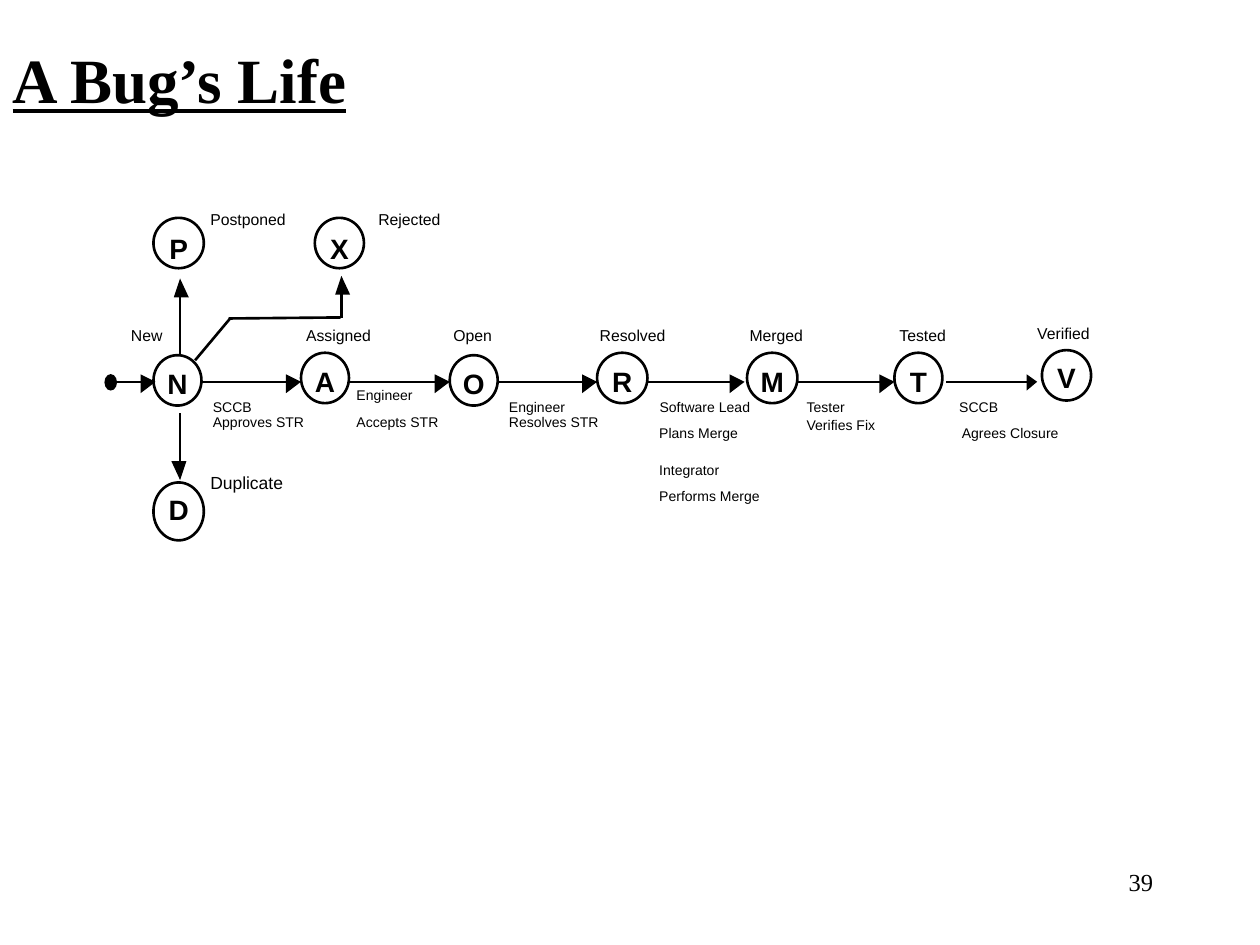
from collections import namedtuple

from lxml.etree import SubElement
from pptx import Presentation
from pptx.dml.color import RGBColor
from pptx.enum.shapes import MSO_CONNECTOR as CONNECTOR, MSO_SHAPE as SHAPE
from pptx.enum.text import MSO_ANCHOR as ANCHOR, MSO_AUTO_SIZE as AUTO, PP_ALIGN as ALIGN
from pptx.oxml.ns import qn
from pptx.util import Pt


class Theme:
    ink = RGBColor(0, 0, 0)
    paper = RGBColor(255, 255, 255)
    serif, sans = "Times New Roman", "Arial"
    title, number, letter, large_name, name, action = 36, 14, 16, 10, 9, 8
    line = 1.5


Box = namedtuple("Box", "x y w h")
# Length along the arrow, then reach to the right and left of its axis
Head = namedtuple("Head", "length right left")
SIDE, UPRIGHT, SMALL = Head(8.6, 6.5, 4.3), Head(10.8, 5, 3.6), Head(6, 5, 4.3)
AXIS, NAME_Y, BEND_Y, NEW_X = 98.2, 66.2, 62, 43.2
LABEL_SLACK = 3

# Letter, circle, downward shift of the letter, name, name box, name size
STATES = [
    ("P", Box(28, 4.5, 28.8, 28.8), 3.2, "Postponed", Box(60.5, 0, 43.2, 10.8), Theme.name),
    ("X", Box(120.2, 4.5, 28.1, 28.8), 3.2, "Rejected", Box(156.5, 0, 35.3, 10.8), Theme.name),
    ("N", Box(28, 83, 27.4, 28.8), 1.8, "New", Box(15.1, NAME_Y, 18, 10.8), Theme.name),
    ("A", Box(112.3, 81.6, 27.4, 28.8), 1.8, "Assigned", Box(115.2, NAME_Y, 36.7, 10.8), Theme.name),
    ("O", Box(197.3, 83, 27.4, 28.8), 1.8, "Open", Box(199.4, NAME_Y, 22.3, 10.8), Theme.name),
    ("R", Box(281.5, 81.6, 28.8, 28.8), 1.8, "Resolved", Box(283, NAME_Y, 37.4, 10.8), Theme.name),
    ("M", Box(367.2, 81.6, 28.8, 28.8), 1.8, "Merged", Box(368.6, NAME_Y, 30.2, 10.8), Theme.name),
    ("T", Box(451.4, 81.6, 27.4, 28.8), 1.8, "Tested", Box(454.3, NAME_Y, 27.4, 10.8), Theme.name),
    ("V", Box(535.7, 80.1, 28.1, 28.8), 1.1, "Verified", Box(533, 64.8, 30.2, 10.8), Theme.name),
    ("D", Box(28, 155.7, 28.8, 33.1), -1.1, "Duplicate", Box(60.5, 150, 41.8, 12.2), Theme.large_name),
]

# Text, left, top, width
ACTIONS = [
    ("SCCB", 61.9, 108, 22.3), ("Approves STR", 61.9, 116.1, 52.6),
    ("Engineer", 144, 101, 32.4), ("Accepts STR", 144, 116.1, 46.8),
    ("Engineer", 231.1, 107.6, 32.4), ("Resolves STR", 231.1, 116.1, 51.1),
    ("Software Lead", 317.2, 108, 51.8), ("Plans Merge", 317, 122.6, 45.4),
    ("Integrator", 317, 143.9, 34.6), ("Performs Merge", 317, 158.6, 57.6),
    ("Tester", 401.2, 108, 23), ("Verifies Fix", 401.2, 118.2, 39.6),
    ("SCCB", 488.4, 107.6, 22.3), ("Agrees Closure", 489.9, 122.6, 55.4),
]

# Start, tip, head
ARROWS = [
    ((4.3, AXIS), (29.2, AXIS), SIDE),
    ((55.4, AXIS), (112.3, AXIS), SIDE),
    ((140.4, AXIS), (197.3, AXIS), SIDE),
    ((224.6, AXIS), (281.5, AXIS), SIDE),
    ((310.3, AXIS), (365.8, AXIS), SIDE),
    ((396, AXIS), (451.4, AXIS), SIDE),
    ((481, AXIS), (533, AXIS), SMALL),
    ((NEW_X, 116.1), (NEW_X, 154.3), UPRIGHT),
    ((NEW_X, 83), (NEW_X, 39.1), UPRIGHT),
    ((135.4, BEND_Y), (135.4, 37.6), UPRIGHT),
]


def points(box):
    return [Pt(v) for v in box]


def inside(area, box):
    return Box(area.x + box.x, area.y + box.y, box.w, box.h)


def write(tf, text, size, font=Theme.sans, bold=False, underline=False, align=ALIGN.LEFT):
    p = tf.paragraphs[0]
    p.alignment = align
    r = p.add_run()
    r.text = text
    r.font.name, r.font.size = font, Pt(size)
    r.font.bold, r.font.underline = bold, underline
    r.font.color.rgb = Theme.ink


def set_insets(tf, top=0, bottom=0):
    tf.margin_left = tf.margin_right = 0
    tf.margin_top, tf.margin_bottom = Pt(top), Pt(bottom)


def add_label(slide, box, text, size):
    roomy = box._replace(w=box.w + LABEL_SLACK)
    tf = slide.shapes.add_textbox(*points(roomy)).text_frame
    set_insets(tf)
    tf.word_wrap = True
    write(tf, text, size)


def add_ellipse(slide, box, fill):
    sp = slide.shapes.add_shape(SHAPE.OVAL, *points(box))
    sp.shadow.inherit = False
    sp.fill.solid()
    sp.fill.fore_color.rgb = fill
    sp.line.color.rgb = Theme.ink
    sp.line.width = Pt(Theme.line)
    return sp


def add_state(slide, area, letter, circle, shift, name, name_box, name_size):
    sp = add_ellipse(slide, inside(area, circle), Theme.paper)
    tf = sp.text_frame
    set_insets(tf, top=max(2 * shift, 0), bottom=max(-2 * shift, 0))
    tf.word_wrap = False
    tf.vertical_anchor = ANCHOR.MIDDLE
    write(tf, letter, Theme.letter, bold=True, align=ALIGN.CENTER)
    add_label(slide, inside(area, name_box), name, name_size)


def add_line(slide, area, start, end):
    ends = (area.x + start[0], area.y + start[1], area.x + end[0], area.y + end[1])
    line = slide.shapes.add_connector(CONNECTOR.STRAIGHT, *points(ends))
    line.line.color.rgb = Theme.ink
    line.line.width = Pt(Theme.line)
    SubElement(line._element.spPr, qn("a:effectLst"))


def add_arrow(slide, area, start, tip, head):
    """Draw a horizontal or vertical line with a solid triangle at its tip."""
    dx, dy = ((b > a) - (b < a) for a, b in zip(start, tip))
    base = (tip[0] - dx * head.length, tip[1] - dy * head.length)
    add_line(slide, area, start, (base[0] + 2 * dx, base[1] + 2 * dy))
    corners = [(base[0] - dy * side, base[1] + dx * side) for side in (head.right, -head.left)]
    outline = [(Pt(area.x + x), Pt(area.y + y)) for x, y in (corners[0], tip, corners[1])]
    builder = slide.shapes.build_freeform(*outline[0])
    builder.add_line_segments(outline[1:], close=True)
    sp = builder.convert_to_shape()
    sp.shadow.inherit = False
    sp.fill.solid()
    sp.fill.fore_color.rgb = Theme.ink
    sp.line.fill.background()


def add_life_cycle(slide, area):
    for state in STATES:
        add_state(slide, area, *state)
    start = add_ellipse(slide, inside(area, Box(0, 93.8, 7.2, 9.4)), Theme.ink)
    start.line.fill.background()
    for arrow in ARROWS:
        add_arrow(slide, area, *arrow)
    add_line(slide, area, (51.8, 85.9), (71.8, BEND_Y))
    add_line(slide, area, (71, BEND_Y), (135, 61.4))
    for text, x, y, w in ACTIONS:
        add_label(slide, inside(area, Box(x, y, w, 9.4)), text, Theme.action)


def add_title(slide, box):
    title = slide.shapes.title
    title.left, title.top, title.width, title.height = points(box)
    tf = title.text_frame
    tf.auto_size = AUTO.NONE
    tf.vertical_anchor = ANCHOR.MIDDLE
    write(tf, "A Bug’s Life", Theme.title, font=Theme.serif, bold=True, underline=True)


def add_page_number(slide, box):
    tf = slide.shapes.add_textbox(*points(box)).text_frame
    tf.word_wrap = True
    write(tf, "39", Theme.number, font=Theme.serif, align=ALIGN.RIGHT)


def main():
    prs = Presentation()
    prs.slide_width, prs.slide_height = Pt(720), Pt(540)
    slide = prs.slides.add_slide(prs.slide_layouts[5])
    add_title(slide, Box(0, 0, 612, 90))
    add_life_cycle(slide, Box(59.7, 120, 564, 189))
    add_page_number(slide, Box(516, 492, 150, 36))
    prs.save("out.pptx")


if __name__ == "__main__":
    main()
